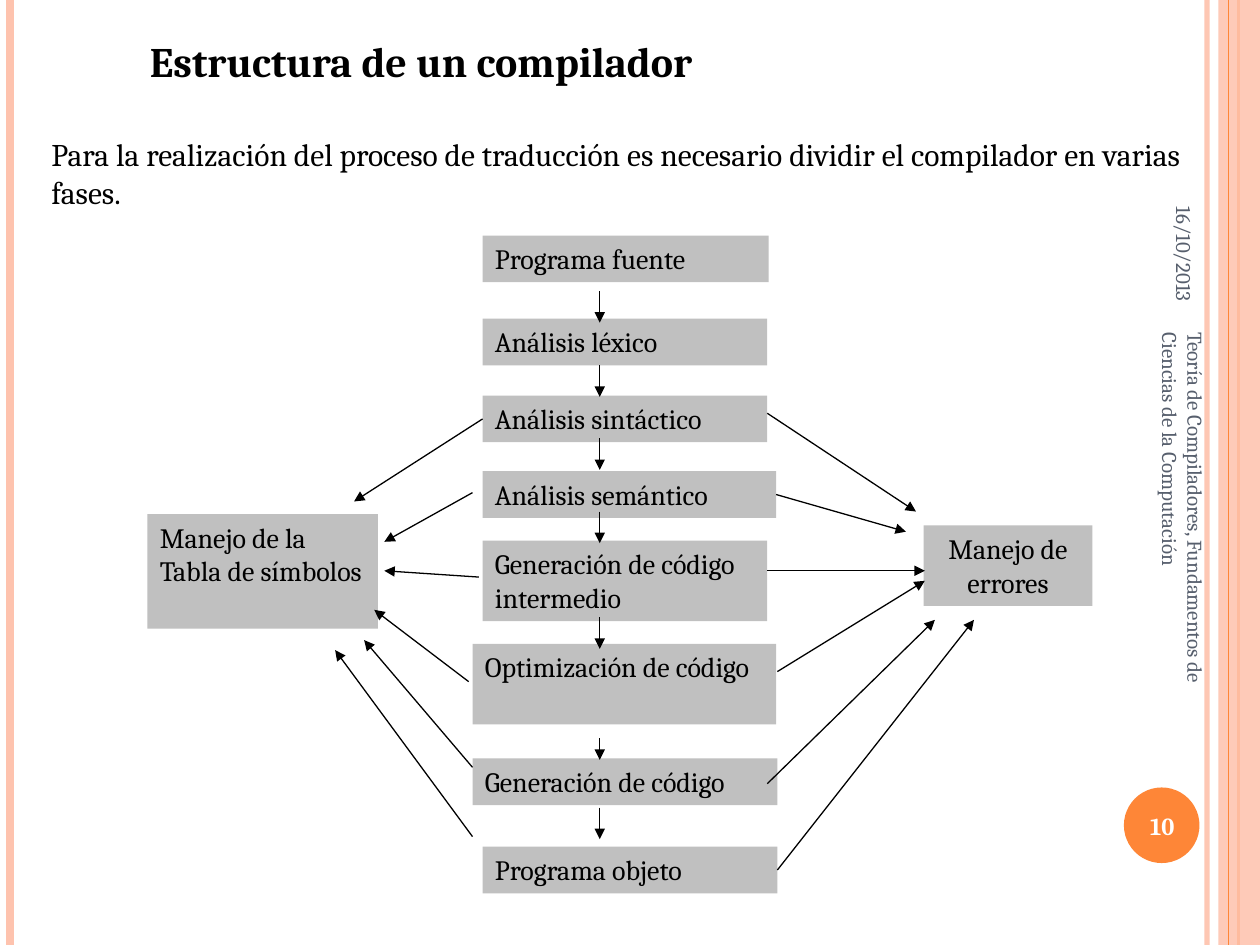
from pptx import Presentation
from pptx.dml.color import RGBColor
from pptx.enum.shapes import MSO_CONNECTOR, MSO_SHAPE
from pptx.enum.text import MSO_ANCHOR, MSO_AUTO_SIZE, PP_ALIGN
from pptx.oxml.ns import qn
from pptx.util import Inches, Pt
from lxml import etree

STRAIGHT = MSO_CONNECTOR.STRAIGHT
RECTANGLE, OVAL = MSO_SHAPE.RECTANGLE, MSO_SHAPE.OVAL
TOP, MIDDLE = MSO_ANCHOR.TOP, MSO_ANCHOR.MIDDLE
LEFT, CENTER, RIGHT = PP_ALIGN.LEFT, PP_ALIGN.CENTER, PP_ALIGN.RIGHT
NO_AUTOFIT = MSO_AUTO_SIZE.NONE
LEFT_SIDE, RIGHT_SIDE = 1, 3

BLACK, WHITE, GRAY, SLATE = "000000", "FFFFFF", "C0C0C0", "575F6D"
PEACH, ORANGE = "FEC3AE", "FE8637"
BOX_HEIGHT, TALL_HEIGHT = 0.37, 0.64

PHASES = {
    "source": ("Programa fuente", (3.83, 1.87, 2.27, BOX_HEIGHT)),
    "lexical": ("Análisis léxico", (3.83, 2.53, 2.26, BOX_HEIGHT)),
    "syntax": ("Análisis sintáctico", (3.83, 3.14, 2.26, BOX_HEIGHT)),
    "semantic": ("Análisis semántico", (3.83, 3.74, 2.33, BOX_HEIGHT)),
    "intermediate": ("Generación de código intermedio", (3.83, 4.29, 2.26, TALL_HEIGHT)),
    "optimization": ("Optimización de código", (3.75, 5.11, 2.41, TALL_HEIGHT)),
    "generation": ("Generación de código", (3.75, 6.02, 2.42, BOX_HEIGHT)),
    "object": ("Programa objeto", (3.83, 6.72, 2.34, BOX_HEIGHT)),
}
FLOW_X = 4.76
FLOW_ARROWS = [(2.31, 2.56), (2.9, 3.15), (3.48, 3.73), (4.06, 4.31),
               (4.9, 5.15), (5.86, 6.03), (6.41, 6.66)]
SYMBOL_ARROWS = [
    ("syntax", (3.83, 3.36), (2.81, 3.98)),
    (None, (3.75, 3.91), (3.05, 4.3)),
    (None, (3.8, 4.58), (3.05, 4.53)),
    (None, (3.72, 5.41), (2.97, 4.84)),
    (None, (3.75, 6.09), (2.89, 5.08)),
    (None, (3.75, 6.64), (2.66, 5.16)),
]
ERROR_ARROWS = [
    (None, (6.09, 3.28), (7.27, 4.06)),
    ("semantic", (6.17, 3.91), (7.19, 4.22)),
    (None, (6.09, 4.53), (7.34, 4.53)),
    (None, (6.17, 5.33), (7.34, 4.61)),
    (None, (6.09, 6.22), (7.42, 4.92)),
    ("object", (6.17, 6.88), (7.73, 4.92)),
]


def color(value):
    return RGBColor.from_string(value)


def set_values(target, values):
    for name, value in values.items():
        setattr(target, name, value)


def set_opacity(element, percent):
    swatch = next(element.iter(qn("a:srgbClr")))
    etree.SubElement(swatch, qn("a:alpha"), val=str(percent * 1000))


def write_text(shape, lines, size, ink=BLACK, bold=False, align=LEFT, anchor=TOP):
    frame = shape.text_frame
    set_values(frame, {
        "text": "\n".join(lines), "word_wrap": True, "auto_size": NO_AUTOFIT,
        "vertical_anchor": anchor,
        "margin_left": Inches(0.1), "margin_right": Inches(0.1),
        "margin_top": Inches(0.05), "margin_bottom": Inches(0.05),
    })
    for para in frame.paragraphs:
        para.alignment = align
        for span in para.runs:
            set_values(span.font, {"name": "Cambria", "size": Pt(size), "bold": bold})
            span.font.color.rgb = color(ink)


def add_text(page, box, text, size, rotation=0, **style):
    label = page.shapes.add_textbox(*map(Inches, box))
    label.rotation = rotation
    write_text(label, [text], size, **style)


def add_block(page, box, fill, kind=RECTANGLE):
    block = page.shapes.add_shape(kind, *map(Inches, box))
    block.shadow.inherit = False
    block.fill.solid()
    block.fill.fore_color.rgb = color(fill)
    block.line.fill.background()
    return block


def add_node(page, box, lines, align=LEFT):
    node = add_block(page, box, GRAY)
    write_text(node, lines, 16, align=align)
    return node


def add_line(page, start, end, ink=BLACK, width=0.75):
    line = page.shapes.add_connector(STRAIGHT, *map(Inches, (*start, *end)))
    line.line.color.rgb = color(ink)
    line.line.width = Pt(width)
    etree.SubElement(line._element.spPr, qn("a:effectLst"))
    return line


def add_arrow(page, start, end):
    arrow = add_line(page, start, end)
    etree.SubElement(arrow.line._get_or_add_ln(), qn("a:tailEnd"), type="triangle")
    return arrow


def add_frame(page, width, height):
    def rule(x, ink, weight):
        return add_line(page, (x, 0), (x, height), ink, weight)

    inner = rule(width - 0.42, PEACH, 3)
    set_opacity(inner._element.spPr, 93)
    rule(0.08, PEACH, 4.5)
    rule(width - 0.17, ORANGE, 1.5)
    band = add_block(page, (width - 0.33, 0, 0.33, height), PEACH)
    set_opacity(band._element.spPr, 87)
    rule(width - 0.25, ORANGE, 0.75)


def add_heading(page, box):
    left, top, width, height = map(Inches, box)
    title = page.shapes.title
    set_values(title, {"left": left, "top": top, "width": width, "height": height})
    write_text(title, ["Estructura de un compilador"], 24, bold=True)


def add_diagram(page):
    nodes = {key: add_node(page, box, [text]) for key, (text, box) in PHASES.items()}
    add_node(page, (1.17, 4.08, 1.83, 0.91), ["Manejo de la", "Tabla de símbolos"])
    add_node(page, (7.33, 4.17, 1.34, TALL_HEIGHT), ["Manejo de errores"], CENTER)
    for top, bottom in FLOW_ARROWS:
        add_arrow(page, (FLOW_X, top), (FLOW_X, bottom))
    for arrows, side in ((SYMBOL_ARROWS, LEFT_SIDE), (ERROR_ARROWS, RIGHT_SIDE)):
        for key, start, end in arrows:
            arrow = add_arrow(page, start, end)
            if key:
                arrow.begin_connect(nodes[key], side)


def add_footer(page):
    add_block(page, (8.92, 6.25, 0.6, 0.6), ORANGE, OVAL)
    add_text(page, (8.89, 6.27, 0.67, 0.57), "10", 14,
             ink=WHITE, bold=True, align=CENTER, anchor=MIDDLE)
    add_text(page, (8.3, 1.18, 2.2, 0.42), "16/10/2013", 12, rotation=90,
             ink=SLATE, align=RIGHT, anchor=MIDDLE)
    add_text(page, (7.64, 4.09, 3.5, 0.4),
             "Teoría de Compiladores, Fundamentos de Ciencias de la Computación", 12,
             rotation=90, ink=SLATE, anchor=MIDDLE)


def main():
    deck = Presentation()
    set_values(deck, {"slide_width": Inches(10), "slide_height": Inches(7.5)})
    page = deck.slides.add_slide(deck.slide_layouts[5])
    add_frame(page, 10, 7.5)
    add_heading(page, (1.09, 0.23, 6.94, 0.91))
    add_text(page, (0.31, 1.02, 9.35, 0.71),
             "Para la realización del proceso de traducción es necesario "
             "dividir el compilador en varias fases.", 18)
    add_diagram(page)
    add_footer(page)
    deck.save("out.pptx")


if __name__ == "__main__":
    main()
